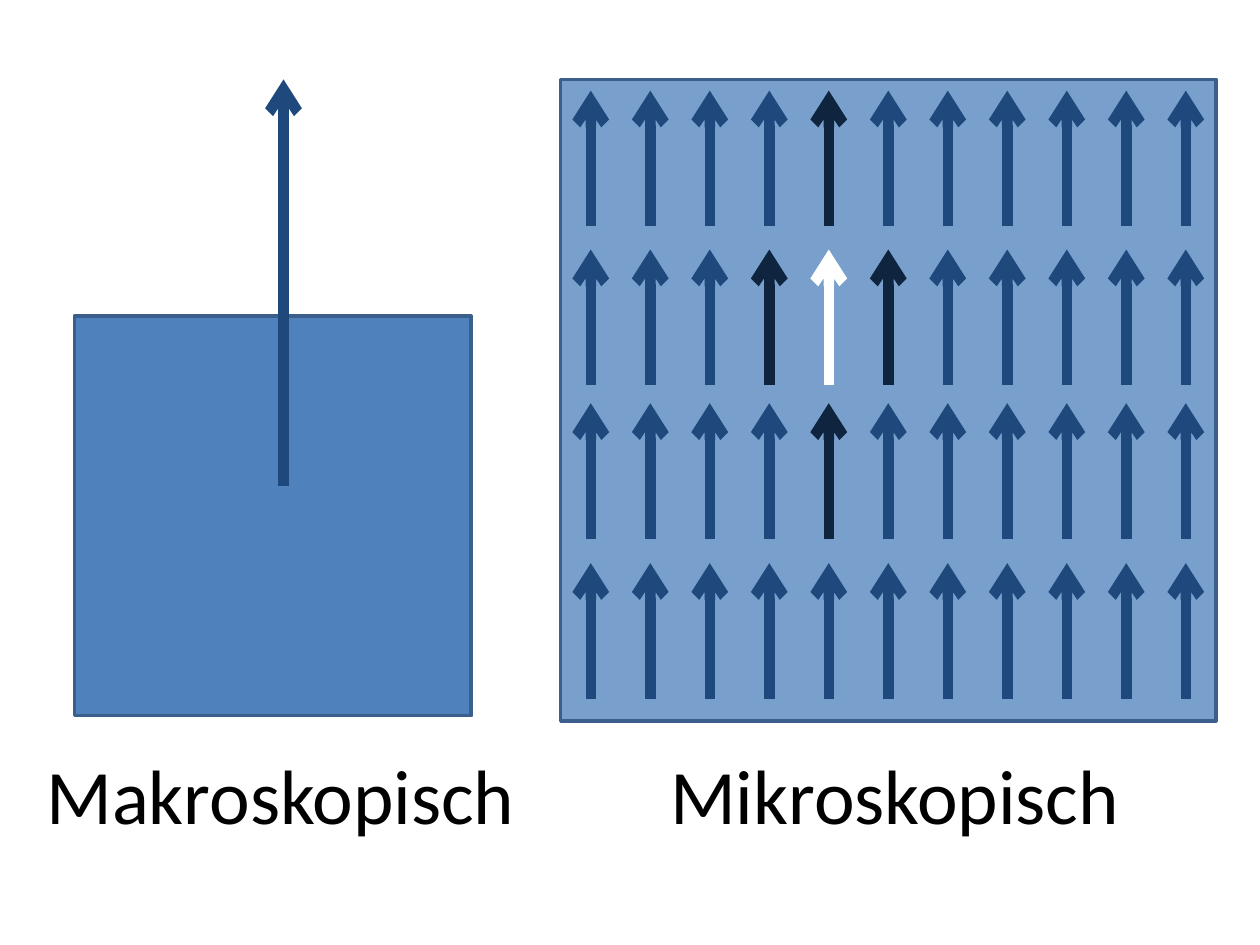
from lxml import etree
from pptx import Presentation
from pptx.dml.color import RGBColor
from pptx.enum.shapes import MSO_CONNECTOR, MSO_SHAPE
from pptx.enum.text import MSO_AUTO_SIZE
from pptx.oxml.ns import qn
from pptx.util import Pt

RECT = MSO_SHAPE.RECTANGLE
LINE = MSO_CONNECTOR.STRAIGHT
GROW = MSO_AUTO_SIZE.SHAPE_TO_FIT_TEXT

BLUE = RGBColor(0x4F, 0x81, 0xBD)
EDGE = RGBColor(0x3A, 0x5F, 0x8C)
NAVY = RGBColor(0x1F, 0x49, 0x7D)
DARK = RGBColor(0x0F, 0x24, 0x3E)
WHITE = RGBColor(0xFF, 0xFF, 0xFF)
BLACK = RGBColor(0x00, 0x00, 0x00)

COLS = 11
ROW_TOPS = (6.4, 97.2, 185, 276.4)
CENTER = (1, 4)
SPIN_COLORS = {0: WHITE, 1: DARK}


def add_text(slide, text, box, size=44, font="Calibri", color=BLACK):
    """Add a one-line text box that grows with its text."""
    shape = slide.shapes.add_textbox(*map(Pt, box))
    frame = shape.text_frame
    frame.word_wrap = False
    frame.auto_size = GROW
    run = frame.paragraphs[0].add_run()
    run.text = text
    run.font.size = Pt(size)
    run.font.name = font
    run.font.color.rgb = color


def add_block(slide, box, alpha=None):
    """Add a blue block, see-through when alpha is a percentage."""
    block = slide.shapes.add_shape(RECT, *map(Pt, box))
    block.shadow.inherit = False
    block.fill.solid()
    block.fill.fore_color.rgb = BLUE
    block.line.color.rgb = EDGE
    block.line.width = Pt(2)
    if alpha is not None:
        tone = block.fill._xPr.find(qn("a:solidFill"))[0]
        etree.SubElement(tone, qn("a:alpha"), val=str(alpha * 1000))


def add_arrow(slide, x, top, length, color=NAVY):
    """Add an upward arrow whose tip is at the top."""
    arrow = slide.shapes.add_connector(
        LINE, Pt(x), Pt(top + length), Pt(x), Pt(top))
    arrow.line.color.rgb = color
    arrow.line.width = Pt(6)
    etree.SubElement(arrow.line._get_or_add_ln(), qn("a:tailEnd"), type="arrow")
    etree.SubElement(arrow._element.spPr, qn("a:effectLst"))


def add_macro(slide, left, top, width, height):
    """Draw the block with its single large arrow."""
    drop = 135.3
    add_block(slide, (left, top + drop, width, height - drop))
    add_arrow(slide, left + 119.5, top, 232.6)


def add_micro(slide, left, top, width, height):
    """Draw the grid of spins, marking one and its nearest neighbours."""
    add_block(slide, (left, top, width, height), alpha=76)
    inset = 17.2
    step = (width - 2 * inset) / (COLS - 1)
    for row, offset in enumerate(ROW_TOPS):
        for col in range(COLS):
            gap = abs(row - CENTER[0]) + abs(col - CENTER[1])
            add_arrow(slide, left + inset + col * step, top + offset, 77.5,
                      SPIN_COLORS.get(gap, NAVY))


def main():
    """Build and save the slide."""
    deck = Presentation()
    deck.slide_width, deck.slide_height = Pt(720), Pt(540)
    slide = deck.slides.add_slide(deck.slide_layouts[6])
    add_macro(slide, 42.5, 45.4, 226.8, 363.6)
    add_text(slide, "Makroskopisch", (19.4, 423.4, 285.1, 60.5))
    add_micro(slide, 320.4, 45.4, 374.4, 366.5)
    add_text(slide, "Mikroskopisch", (375.8, 423.4, 274.3, 60.5))
    deck.save("out.pptx")


if __name__ == "__main__":
    main()
